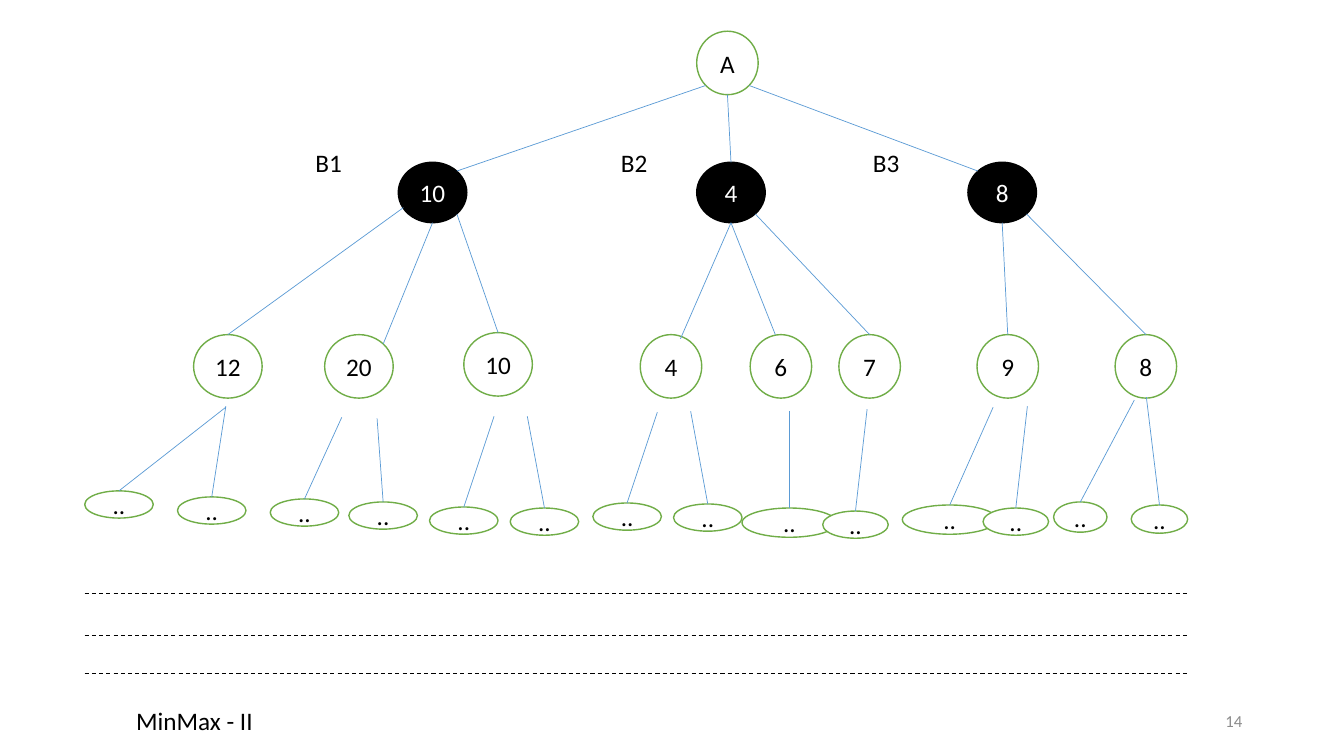
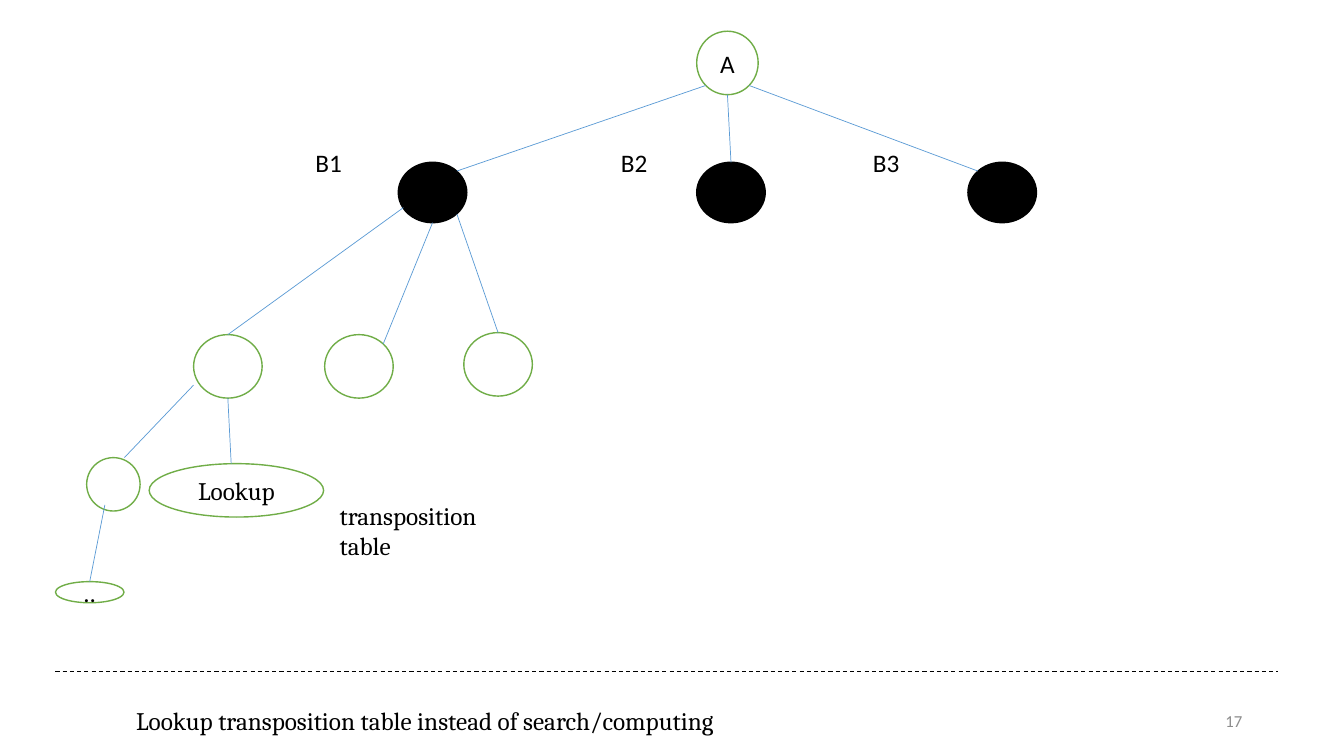
from lxml import etree
from pptx import Presentation
from pptx.dml.color import RGBColor
from pptx.enum import dml, shapes, text
from pptx.oxml import ns
from pptx.util import Inches, Pt

WHITE = RGBColor(0xFF, 0xFF, 0xFF)
BLACK = RGBColor(0x00, 0x00, 0x00)
GREEN = RGBColor(0x70, 0xAD, 0x47)
BLUE = RGBColor(0x5B, 0x9B, 0xD5)
GREY = RGBColor(0x8C, 0x8C, 0x8C)
LEFT, MID, RIGHT = text.PP_ALIGN.LEFT, text.PP_ALIGN.CENTER, text.PP_ALIGN.RIGHT
TOP, HALF = text.MSO_ANCHOR.TOP, text.MSO_ANCHOR.MIDDLE
SANS, SERIF = "Calibri", "Cambria"

# Spots on an oval, as shares of its half width and half height
N, S = (0, -1), (0, 1)
NE, NW, SE, SW = (0.71, -0.71), (-0.71, -0.71), (0.71, 0.71), (-0.71, 0.71)

# Nodes: name -> left, top, width, height
TREE = {
    "A": (6.91, 0.31, 0.61, 0.63),
    "B1": (3.95, 1.61, 0.68, 0.6),
    "B2": (6.91, 1.61, 0.68, 0.6),
    "B3": (9.6, 1.61, 0.68, 0.6),
    "C1": (1.92, 3.32, 0.68, 0.63),
    "C2": (3.22, 3.32, 0.68, 0.63),
    "C3": (4.6, 3.3, 0.68, 0.63),
}
WIDE = {f"C{i}": (x, 3.32, 0.61, 0.63)
        for i, x in enumerate((6.35, 7.44, 8.32, 9.69, 11.06), 4)}
DEEP = {
    "D1": (0.86, 4.54, 0.53, 0.53),
    "D2": (1.48, 4.6, 1.73, 0.53),
    "E1": (0.55, 5.77, 0.68, 0.21),
}

# Links: child, spot on child, parent, spot on parent
LINKS = [
    ("B1", NE, "A", SW), ("B2", N, "A", S), ("B3", NW, "A", SE),
    ("C1", N, "B1", (-0.85, 0.5)), ("C2", NE, "B1", S), ("C3", N, "B1", SE),
]
WIDE_LINKS = [
    ("C4", (0.31, -0.87), "B2", S), ("C5", (-0.18, -1), "B2", S),
    ("C6", N, "B2", SE), ("C7", N, "B3", S), ("C8", N, "B3", SE),
]
DEEP_LINKS = [
    ("D1", (0.41, -1), "C1", (-1, 0.59)), ("D2", (-0.06, -1), "C1", S),
    ("E1", N, "D1", (-0.32, 0.77)),
]

# Leaves: box, then the far end of the line that rises from its top
LEAVES = [
    ((0.84, 4.87, 0.68, 0.27), (2.24, 4.04)),
    ((1.76, 4.93, 0.68, 0.27), (2.24, 4.03)),
    ((2.68, 4.95, 0.68, 0.27), (3.39, 4.14)),
    ((3.46, 4.98, 0.68, 0.27), (3.74, 4.15)),
    ((4.26, 5.03, 0.68, 0.27), (4.9, 4.13)),
    ((5.06, 5.04, 0.68, 0.27), (5.23, 4.13)),
    ((5.88, 4.99, 0.68, 0.27), (6.52, 4.09)),
    ((6.68, 5, 0.68, 0.27), (6.85, 4.08)),
    ((7.36, 5.04, 0.94, 0.29), (7.83, 4.08)),
    ((8.16, 5.07, 0.65, 0.27), (8.6, 4.06)),
    ((8.95, 5.01, 0.94, 0.29), (9.85, 4.04)),
    ((9.75, 5.04, 0.65, 0.27), (10.19, 4.03)),
    ((10.45, 4.98, 0.53, 0.3), (11.25, 3.97)),
    ((11.22, 5.01, 0.56, 0.28), (11.37, 3.94)),
]

SLIDES = [
    dict(page="14", title="MinMax - II", face=SANS, width=2.26,
         nodes=TREE | WIDE, links=LINKS + WIDE_LINKS, leaves=LEAVES,
         words={"A": "A", "B1": "10", "B2": "4", "B3": "8", "C1": "12", "C2": "20",
                "C3": "10", "C4": "4", "C5": "6", "C6": "7", "C7": "9", "C8": "8"},
         rules=[(0.84, 11.78, y) for y in (5.89, 6.3, 6.68)], notes=[]),
    dict(page="17", title="Lookup transposition table instead of search/computing",
         face=SERIF, width=7.55,
         nodes=TREE | DEEP, links=LINKS + DEEP_LINKS, leaves=[],
         words={"A": "A", "D2": "Lookup", "E1": ".."},
         rules=[(0.55, 12.68, 6.66)],
         notes=[("transposition table", 3.27, 4.91, 2.06, SERIF)]),
]
LABELS = [(name, x, 1.41, 0.48, SANS)
          for name, x in (("B1", 3.03), ("B2", 6.06), ("B3", 8.56))]


def write(shape, words, face=SANS, size=18, color=BLACK, align=LEFT, anchor=TOP):
    frame = shape.text_frame
    frame.text = words
    look = {"word_wrap": True, "auto_size": text.MSO_AUTO_SIZE.NONE,
            "vertical_anchor": anchor}
    for key, value in look.items():
        setattr(frame, key, value)
    para = frame.paragraphs[0]
    para.alignment = align
    for key, value in {"name": face, "size": Pt(size)}.items():
        setattr(para.font, key, value)
    para.font.color.rgb = color
    return para


def draw(slide, start, end, color=BLUE, width=0.5):
    """Add a straight line between two points in inches."""
    line = slide.shapes.add_connector(
        shapes.MSO_CONNECTOR.STRAIGHT, *map(Inches, (*start, *end)))
    line.line.color.rgb = color
    line.line.width = Pt(width)
    etree.SubElement(line.element.spPr, ns.qn("a:effectLst"))
    return line


deck = Presentation()
deck.slide_width, deck.slide_height = Inches(13.33), Inches(7.5)

for plan in SLIDES:
    slide = deck.slides.add_slide(deck.slide_layouts[5])
    title = slide.shapes.title
    place = {"left": 1.25, "top": 6.95, "width": plan["width"], "height": 0.4}
    for key, value in place.items():
        setattr(title, key, Inches(value))
    write(title, plan["title"], plan["face"])

    page = slide.shapes.add_textbox(*map(Inches, (9.42, 6.95, 3, 0.4)))
    para = write(page, plan["page"], size=12, color=GREY, align=RIGHT, anchor=HALF)
    para.space_after = Pt(6)

    boxes = plan["nodes"] | {f"leaf{i}": box
                             for i, (box, end) in enumerate(plan["leaves"])}
    ovals = {}
    for name, box in boxes.items():
        dark = name.startswith("B")
        oval = slide.shapes.add_shape(shapes.MSO_SHAPE.OVAL, *map(Inches, box))
        oval.shadow.inherit = False
        oval.fill.solid()
        oval.fill.fore_color.rgb = BLACK if dark else WHITE
        oval.line.color.rgb = BLACK if dark else GREEN
        oval.line.width = Pt(1)
        words = ".." if name.startswith("leaf") else plan["words"].get(name)
        if words:
            write(oval, words, SERIF if name == "D2" else SANS,
                  color=WHITE if dark else BLACK, align=MID, anchor=HALF)
        ovals[name] = oval

    for child, spot, parent, goal in plan["links"]:
        ends = []
        for name, (dx, dy) in ((child, spot), (parent, goal)):
            x, y, w, h = boxes[name]
            ends.append((x + w / 2 * (1 + dx), y + h / 2 * (1 + dy)))
        line = draw(slide, *ends)
        if spot == N:
            line.begin_connect(ovals[child], 0)

    for i, ((x, y, w, h), end) in enumerate(plan["leaves"]):
        line = draw(slide, (x + w / 2, y), end)
        line.begin_connect(ovals[f"leaf{i}"], 0)

    for words, x, y, w, face in LABELS + plan["notes"]:
        write(slide.shapes.add_textbox(*map(Inches, (x, y, w, 0.4))), words, face)

    for x1, x2, y in plan["rules"]:
        rule = draw(slide, (x1, y), (x2, y), BLACK, 0.75)
        rule.line.dash_style = dml.MSO_LINE.DASH

deck.save("out.pptx")
